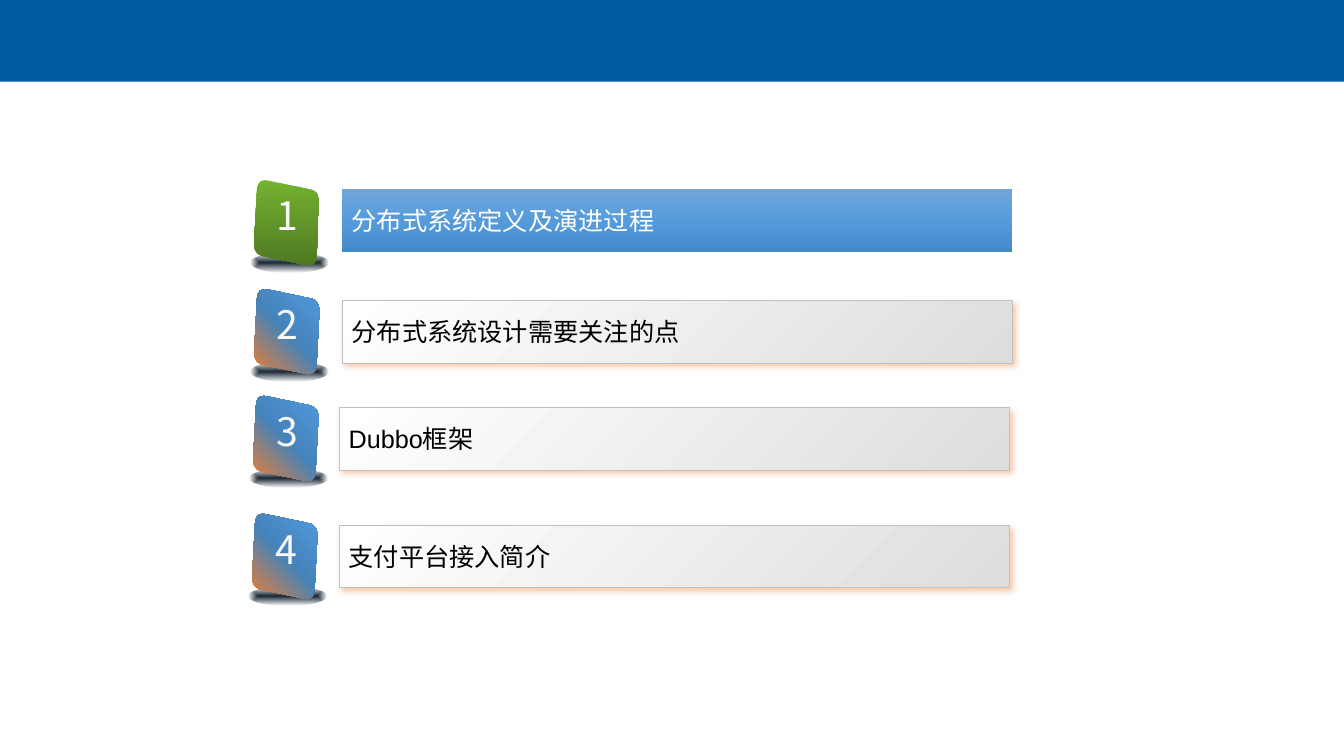
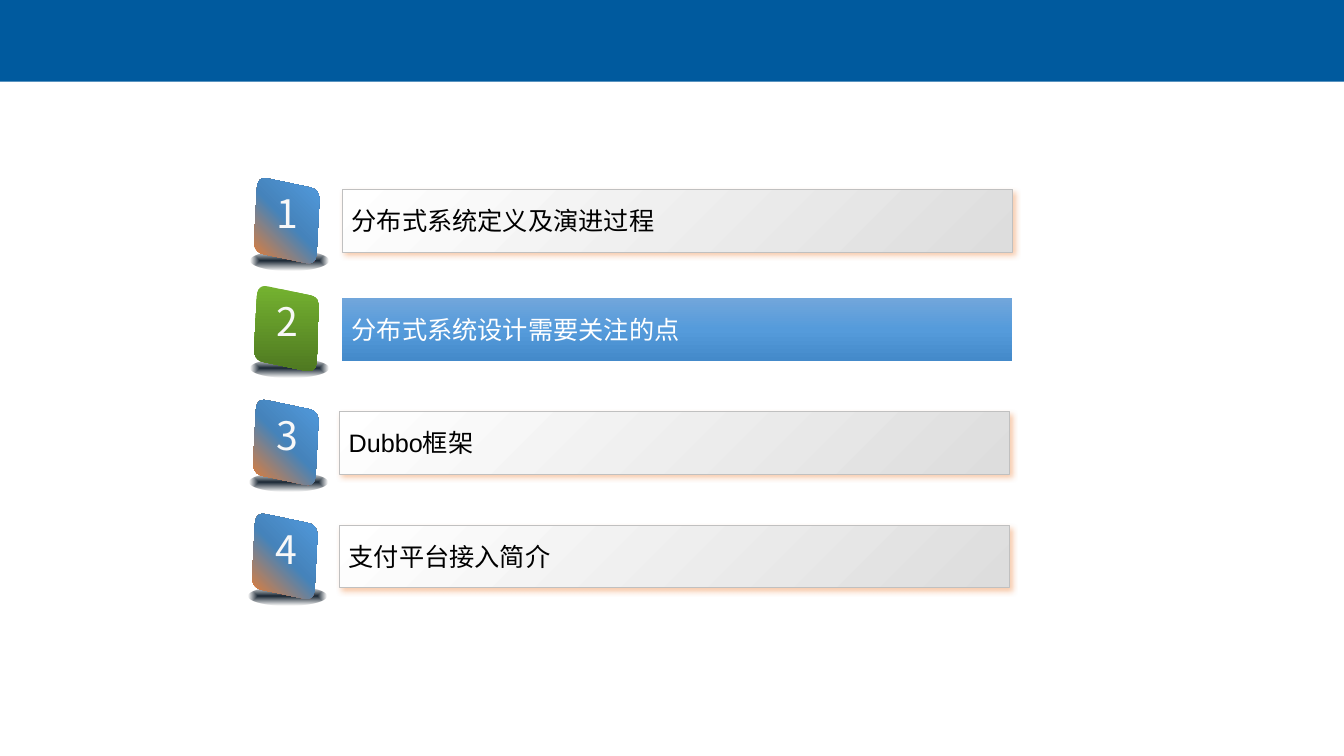
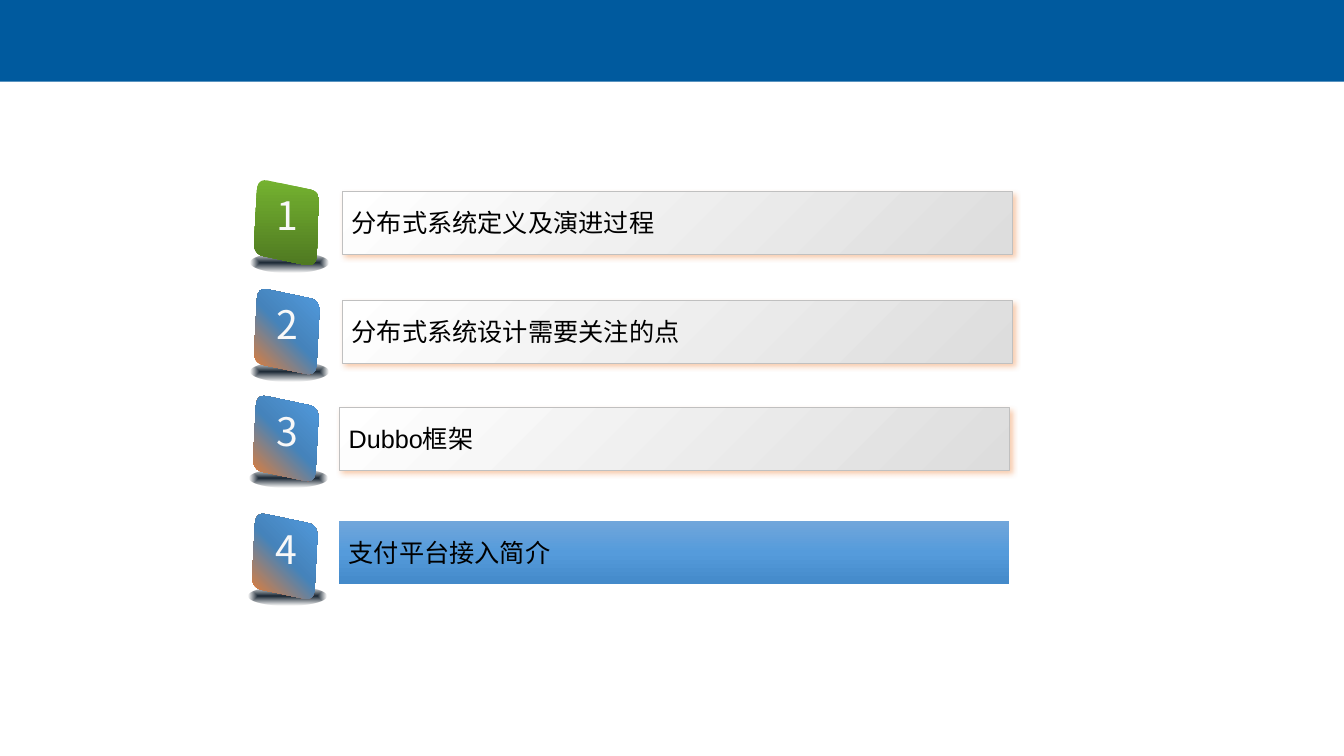
from lxml import etree
from pptx import Presentation
from pptx.dml.color import RGBColor
from pptx.enum.shapes import MSO_SHAPE
from pptx.enum.text import MSO_ANCHOR, MSO_AUTO_SIZE, PP_ALIGN
from pptx.oxml.ns import qn
from pptx.util import Inches, Pt

RECT, OVAL = MSO_SHAPE.RECTANGLE, MSO_SHAPE.OVAL
LEFT, CENTER = PP_ALIGN.LEFT, PP_ALIGN.CENTER
TOP, MIDDLE = MSO_ANCHOR.TOP, MSO_ANCHOR.MIDDLE
GROW = MSO_AUTO_SIZE.SHAPE_TO_FIT_TEXT

# Colours
BAND_BLUE = RGBColor(0x00, 0x5A, 0x9E)
ORANGE = RGBColor(0xED, 0x7D, 0x31)
SILVER = RGBColor(0xC0, 0xC0, 0xC0)
BLACK = RGBColor(0x00, 0x00, 0x00)
WHITE = RGBColor(0xFF, 0xFF, 0xFF)
OFF_WHITE = RGBColor(0xF8, 0xF8, 0xF8)
NIGHT = RGBColor(0x00, 0x10, 0x1E)
LIGHT_GRAY = RGBColor(0xDD, 0xDD, 0xDD)

# Gradients: stops are (position %, colour, opacity %)
TILE_BLUE = [(0, ORANGE, 100), (50, RGBColor(0x45, 0x83, 0xBB), 100),
             (100, RGBColor(0x52, 0x9B, 0xDE), 100)]
TILE_GREEN = [(0, RGBColor(0x74, 0xB2, 0x30), 100),
              (100, RGBColor(0x4F, 0x79, 0x21), 100)]
BAR_BLUE = [(0, RGBColor(0x71, 0xA6, 0xDB), 100),
            (50, RGBColor(0x55, 0x9B, 0xDB), 100),
            (100, RGBColor(0x44, 0x8A, 0xCA), 100)]
BAR_GRAY = [(0, LIGHT_GRAY, 100), (100, WHITE, 100)]
GROUND_SHADE = [(0, NIGHT, 90), (100, NIGHT, 0)]

LATIN, EAST_ASIAN = "Arial", "Noto Sans CJK SC"

# Slanted tile: corners around its centre, in inches
TILE_CORNERS = [(-0.29, -0.44), (0.33, -0.31), (0.29, 0.44), (-0.33, 0.31)]
TILE_CENTER = (0.435, 0.37)
CORNER_SHARE = 0.16
CORNER_STEPS = 6


def add_child(parent, tag, **attributes):
    child = etree.SubElement(parent, qn(tag))
    for name, value in attributes.items():
        child.set(name, str(value))
    return child


def add_color(parent, color, opacity):
    rgb = add_child(parent, "a:srgbClr", val=color)
    if opacity < 100:
        add_child(rgb, "a:alpha", val=opacity * 1000)


def fill_gradient(shape, stops, angle=None, path=None, focus=()):
    """Fill along an angle in degrees, or outwards from a focus rectangle."""
    shape.fill.gradient()
    gradient = shape._element.spPr.find(qn("a:gradFill"))
    for child in list(gradient):
        gradient.remove(child)
    stop_list = add_child(gradient, "a:gsLst")
    for position, color, opacity in stops:
        add_color(add_child(stop_list, "a:gs", pos=position * 1000), color, opacity)
    if path:
        sides = {side: share * 1000 for side, share in zip("ltrb", focus)}
        add_child(add_child(gradient, "a:path", path=path), "a:fillToRect", **sides)
    else:
        add_child(gradient, "a:lin", ang=angle * 60000, scaled=0)


def add_glow_shadow(shape):
    effects = shape._element.spPr.find(qn("a:effectLst"))
    shadow = add_child(effects, "a:outerShdw", blurRad=Pt(4), dist=Pt(3),
                       dir=45 * 60000, algn="tl", rotWithShape=0)
    add_color(shadow, ORANGE, 40)


def write(frame, text, size=18, font=LATIN, color=BLACK, align=LEFT,
          anchor=MIDDLE, spacing=None):
    frame.word_wrap = True
    frame.vertical_anchor = anchor
    paragraph = frame.paragraphs[0]
    paragraph.alignment = align
    run = paragraph.add_run()
    run.text = text
    run.font.size = Pt(size)
    run.font.color.rgb = color
    run.font.name = font
    properties = run._r.get_or_add_rPr()
    add_child(properties, "a:ea", typeface=EAST_ASIAN)
    if spacing:
        properties.set("spc", str(int(spacing * 100)))


def tile_outline(center_x, center_y):
    """Points of the slanted tile, each corner rounded by a quadratic curve."""
    points = []
    for i, (x, y) in enumerate(TILE_CORNERS):
        neighbours = TILE_CORNERS[i - 1], TILE_CORNERS[(i + 1) % 4]
        (ax, ay), (bx, by) = [(x + (nx - x) * CORNER_SHARE, y + (ny - y) * CORNER_SHARE)
                              for nx, ny in neighbours]
        for step in range(CORNER_STEPS + 1):
            t = step / CORNER_STEPS
            a, c, b = (1 - t) ** 2, 2 * t * (1 - t), t ** 2
            points.append((Inches(center_x + a * ax + c * x + b * bx),
                           Inches(center_y + a * ay + c * y + b * by)))
    return points


class Agenda:
    def __init__(self):
        self.deck = Presentation()
        self.deck.slide_width, self.deck.slide_height = Inches(13.33), Inches(7.5)
        self.slide = None

    def new_slide(self):
        self.slide = self.deck.slides.add_slide(self.deck.slide_layouts[6])
        band = self.shape(self.slide.shapes, RECT, 0, 0, 13.33, 0.81)
        band.fill.solid()
        band.fill.fore_color.rgb = BAND_BLUE

    def shape(self, parent, preset, left, top, width, height):
        shape = parent.add_shape(preset, Inches(left), Inches(top),
                                 Inches(width), Inches(height))
        shape.line.fill.background()
        shape.shadow.inherit = False
        return shape

    def badge(self, number, left, top, green):
        parts = self.slide.shapes.add_group_shape().shapes
        ground = self.shape(parts, OVAL, left + 0.08, top + 0.67, 0.77, 0.19)
        fill_gradient(ground, GROUND_SHADE, path="shape", focus=(50, 50, 50, 50))

        outline = tile_outline(left + TILE_CENTER[0], top + TILE_CENTER[1])
        builder = parts.build_freeform(*outline[0])
        builder.add_line_segments(outline[1:])
        tile = builder.convert_to_shape()
        tile.line.fill.background()
        tile.shadow.inherit = False
        if green:
            fill_gradient(tile, TILE_GREEN, angle=90)
        else:
            fill_gradient(tile, TILE_BLUE, angle=315)

        digit = parts.add_textbox(Inches(left + 0.1), Inches(top + 0.06),
                                  Inches(0.69), Inches(0.59)).text_frame
        digit.margin_top = digit.margin_bottom = 0
        digit.auto_size = GROW
        write(digit, str(number), size=28, font=EAST_ASIAN, color=OFF_WHITE,
              align=CENTER, anchor=TOP, spacing=1.5)

    def bar(self, topic, left, top, active, color):
        bar = self.shape(self.slide.shapes, RECT, left, top, 6.65, 0.62)
        if active:
            fill_gradient(bar, BAR_BLUE, angle=90)
        else:
            fill_gradient(bar, BAR_GRAY, path="circle", focus=(100, 100, 0, 0))
            bar.line.color.rgb = SILVER
            bar.line.width = Pt(0.25)
            add_glow_shadow(bar)
        write(bar.text_frame, topic, color=color)


# Topics: text, badge left, bar left
TOPICS = [
    ("分布式系统定义及演进过程", 2.41, 3.39),
    ("分布式系统设计需要关注的点", 2.41, 3.39),
    ("Dubbo框架", 2.4, 3.36),
    ("支付平台接入简介", 2.39, 3.36),
]
# Slides: badge tops, green badge, active bar, its top and its text colour
SLIDES = [
    ((1.84, 2.92, 3.98, 5.15), 1, 1, 1.88, WHITE),
    ((1.82, 2.89, 4.02, 5.15), 2, 2, 2.96, WHITE),
    ((1.84, 2.92, 3.98, 5.15), 1, 4, 5.17, BLACK),
]

agenda = Agenda()
for badge_tops, green_badge, active_bar, active_top, active_color in SLIDES:
    agenda.new_slide()
    for number, (topic, top) in enumerate(zip(TOPICS, badge_tops), start=1):
        text, badge_left, bar_left = topic
        active = number == active_bar
        agenda.badge(number, badge_left, top, number == green_badge)
        agenda.bar(text, bar_left, active_top if active else top + 0.06, active,
                   active_color if active else BLACK)
agenda.deck.save("out.pptx")
